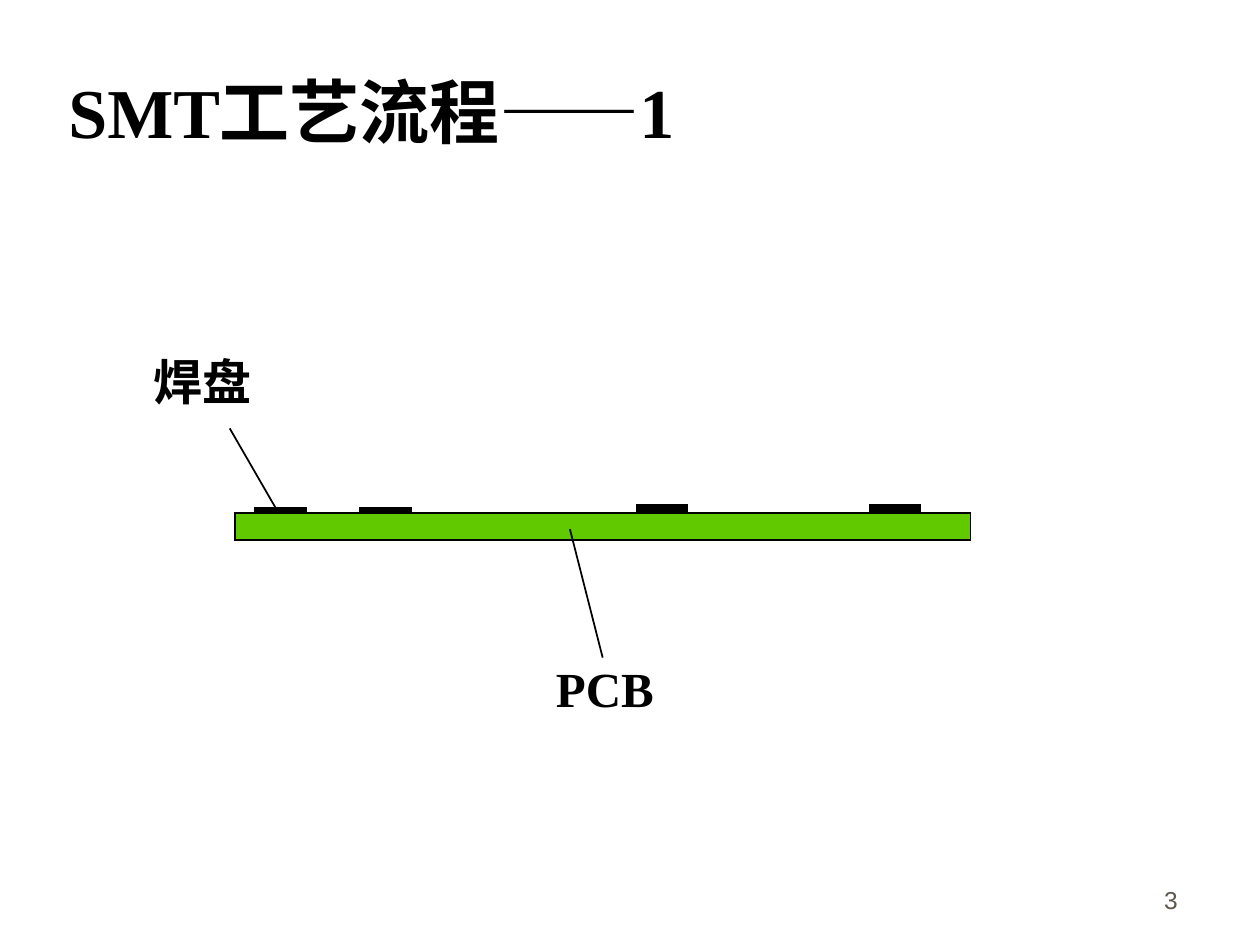
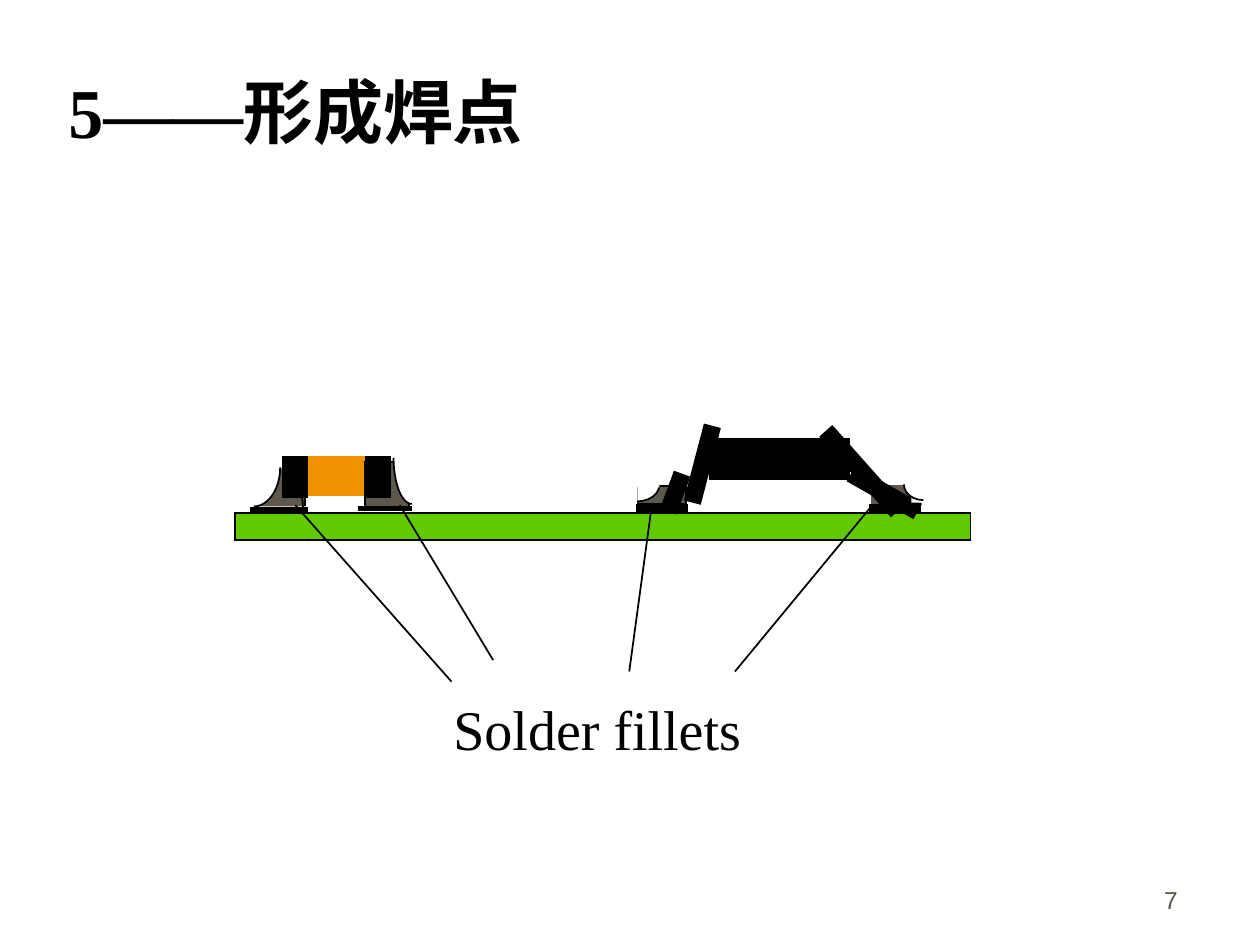
from lxml import etree
from pptx import Presentation
from pptx.dml.color import RGBColor
from pptx.enum import shapes, text
from pptx.oxml import ns
from pptx.util import Pt

BLACK = RGBColor(0x00, 0x00, 0x00)
WHITE = RGBColor(0xFF, 0xFF, 0xFF)
BOARD_GREEN = RGBColor(0x60, 0xC9, 0x00)
CHIP_ORANGE = RGBColor(0xEF, 0x91, 0x00)
SOLDER_GREY = RGBColor(0x5E, 0x57, 0x4E)

SERIF = "Times New Roman"
TITLE_BOX = (32, 18, 612, 90)
NUMBER_BOX = (530.2, 490.3, 149.8, 36)
BOARD_BOX = (134.2, 293, 420.5, 15.8)
IC_PADS = [(229.7, -4.3, 28.8, 3.6), (362.9, -4.3, 28.8, 3.6)]
ADJUSTMENT_PER_DEGREE = 0.6


def add_text(slide, box, content, size=28, font=SERIF, color=BLACK, bold=False,
             align=text.PP_ALIGN.LEFT, anchor=text.MSO_ANCHOR.TOP, wrap=True):
    frame = slide.shapes.add_textbox(*map(Pt, box)).text_frame
    frame.word_wrap = wrap
    frame.vertical_anchor = anchor
    paragraph = frame.paragraphs[0]
    paragraph.alignment = align
    run = paragraph.add_run()
    run.text = content
    run.font.size = Pt(size)
    run.font.name = font
    run.font.bold = bold
    run.font.color.rgb = color


class Drawing:
    def __init__(self, slide, box):
        self.slide = slide
        self.left, self.top = box[:2]

    def place(self, x, y):
        return Pt(self.left + x), Pt(self.top + y)

    def preset(self, kind, box, fill, line):
        x, y, width, height = box
        shape = self.slide.shapes.add_shape(
            kind, *self.place(x, y), Pt(width), Pt(height))
        shape.shadow.inherit = False
        if fill is None:
            shape.fill.background()
        else:
            shape.fill.solid()
            shape.fill.fore_color.rgb = fill
        if line is None:
            shape.line.fill.background()
        else:
            shape.line.color.rgb = line
            shape.line.width = Pt(1)
            outline = shape._element.spPr.find(ns.qn("a:ln"))
            etree.SubElement(outline, ns.qn("a:miter"), lim="800000")
        return shape

    def rectangle(self, box, fill=BLACK, line=None):
        self.preset(shapes.MSO_SHAPE.RECTANGLE, box, fill, line)

    def quarter_arc(self, box, start, fill=None):
        arc = self.preset(shapes.MSO_SHAPE.ARC, box, fill, BLACK)
        arc.adjustments[0] = start * ADJUSTMENT_PER_DEGREE
        arc.adjustments[1] = (start + 90) % 360 * ADJUSTMENT_PER_DEGREE

    def line(self, start, end, width=1):
        connector = self.slide.shapes.add_connector(
            shapes.MSO_CONNECTOR.STRAIGHT, *self.place(*start), *self.place(*end))
        connector.line.color.rgb = BLACK
        connector.line.width = Pt(width)
        etree.SubElement(connector._element.spPr, ns.qn("a:effectLst"))

    def label(self, box, content, **style):
        x, y, width, height = box
        add_text(self.slide, (self.left + x, self.top + y, width, height), content, **style)


def add_frame(presentation, title, number):
    slide = presentation.slides.add_slide(presentation.slide_layouts[6])
    add_text(slide, TITLE_BOX, title, size=40, bold=True, anchor=text.MSO_ANCHOR.MIDDLE)
    add_text(slide, NUMBER_BOX, number, size=14, font="Arial", color=SOLDER_GREY,
             align=text.PP_ALIGN.RIGHT, anchor=text.MSO_ANCHOR.BOTTOM)
    return slide


def draw_board(slide, box, chip_pads):
    drawing = Drawing(slide, box)
    drawing.rectangle((0, 0, *box[2:]), BOARD_GREEN, BLACK)
    for pad in chip_pads + IC_PADS:
        drawing.rectangle(pad, BLACK, BLACK)
    return drawing


def draw_integrated_circuit(drawing):
    drawing.rectangle((230.4, -15.1, 27.4, 10.1), SOLDER_GREY, BLACK)
    drawing.line((247.7, -0.7), (255.6, -22.3), width=10)
    drawing.line((261.4, -5.8), (272.9, -49.7), width=10)
    drawing.rectangle((363.6, -15.8, 28.8, 10.8), SOLDER_GREY)
    drawing.line((390.2, -0.7), (352.1, -22.3), width=10)
    drawing.line((378.7, -0.7), (337.7, -46.8), width=10)
    drawing.rectangle((271.4, -42.1, 79.9, 23), BLACK, BLACK)


def draw_chip(drawing):
    cap_width, cap_height, cap_top = 13.7, 23, -31.7
    drawing.rectangle((12.2, -25.2, 28.1, 21.6), SOLDER_GREY)
    drawing.quarter_arc((-4.3, -48.2, 30.2, 44.6), 0, WHITE)
    drawing.rectangle((27.4, cap_top, cap_width, cap_height), BLACK, BLACK)
    drawing.line((40.3, -9.4), (40.3, -3.6))
    drawing.quarter_arc((16.6, -20.2, 22.3, 33.8), 270)
    drawing.rectangle((74.2, -28.8, 25.2, 25.2), SOLDER_GREY, BLACK)
    drawing.rectangle((74.9, cap_top, cap_width, cap_height), BLACK, BLACK)
    drawing.quarter_arc((90.7, -57.6, 20.9, 52.6), 90, WHITE)


def trim_circuit_fillets(drawing):
    drawing.quarter_arc((217.4, -25.2, 25.2, 18.7), 0, WHITE)
    drawing.rectangle((386.6, -23.8, 16.6, 18), WHITE)
    drawing.quarter_arc((382.3, -25.2, 22.3, 18), 90, WHITE)
    drawing.rectangle((206.6, -28.8, 36, 14.4), WHITE)


def build_bare_board(presentation):
    slide = add_frame(presentation, "SMT工艺流程——1", "3")
    chip_pads = [(11.5, -2.9, 29.5, 1.8), (71.3, -2.9, 29.5, 2.2)]
    drawing = draw_board(slide, BOARD_BOX, chip_pads)
    drawing.line((191.5, 9.4), (210.2, 82.8))
    drawing.line((24.5, -0.7), (-2.9, -48.2))
    drawing.label((176.4, 79.9, 70.6, 40.3), "PCB", bold=True, wrap=False)
    drawing.label((-53.3, -95.8, 207.4, 40.3), "焊盘", bold=True)


def build_solder_joints(presentation):
    slide = add_frame(presentation, "5——形成焊点", "7")
    chip_pads = [(9.4, -2.9, 31.7, 2.2), (70.6, -3.6, 30.2, 2.2)]
    drawing = draw_board(slide, BOARD_BOX, chip_pads)
    drawing.rectangle((31.7, -31.7, 49.7, 21.6), CHIP_ORANGE, CHIP_ORANGE)
    draw_integrated_circuit(drawing)
    draw_chip(drawing)
    trim_circuit_fillets(drawing)
    drawing.label((117.8, 100.1, 204.5, 45.4), "Solder fillets", size=32)
    callouts = [(34.6, (123.8, 96.5)), (94.3, (147.6, 84.2)),
                (238.3, (225.4, 90.7)), (364.3, (285.8, 90.7))]
    for joint, end in callouts:
        drawing.line((joint, -4.3), end)


def main():
    presentation = Presentation()
    presentation.slide_width = Pt(720)
    presentation.slide_height = Pt(540)
    build_bare_board(presentation)
    build_solder_joints(presentation)
    presentation.save("out.pptx")


if __name__ == "__main__":
    main()
